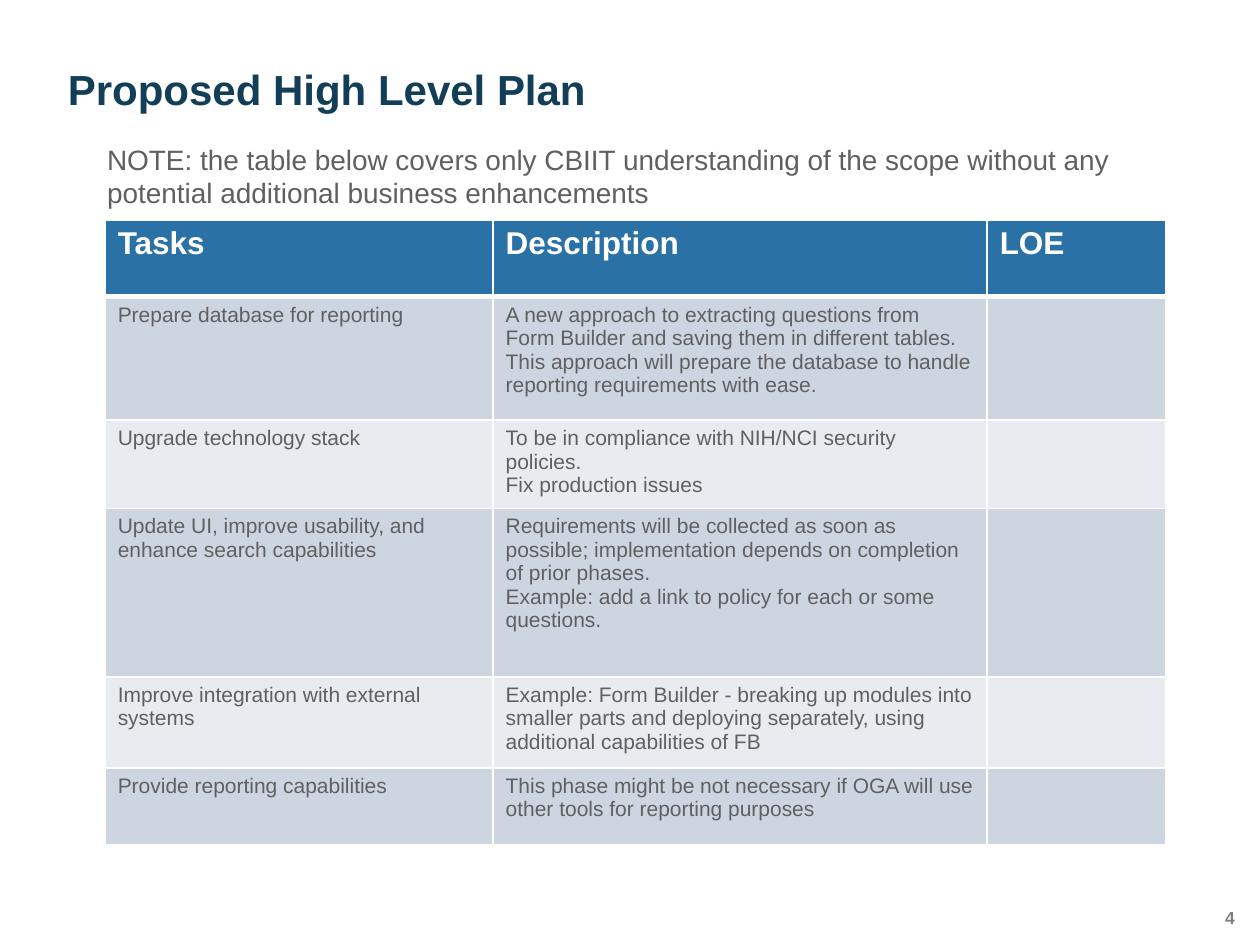
import lxml.etree
import pptx
import pptx.dml.color
import pptx.enum.text
import pptx.oxml.ns
import pptx.util

Cm = pptx.util.Cm
Pt = pptx.util.Pt
RGBColor = pptx.dml.color.RGBColor
qn = pptx.oxml.ns.qn

WHITE = RGBColor(0xFF, 0xFF, 0xFF)
NAVY = RGBColor(0x12, 0x3E, 0x57)
BLUE = RGBColor(0x2A, 0x71, 0xA5)
BAND_DARK = RGBColor(0xCD, 0xD5, 0xE1)
BAND_LIGHT = RGBColor(0xE8, 0xEB, 0xF0)
BODY_GREY = RGBColor(0x60, 0x60, 0x60)
NUMBER_GREY = RGBColor(0x7F, 0x7F, 0x7F)


def write(frame, text, size, color, bold=False):
    frame.text = text
    frame.word_wrap = True
    for paragraph in frame.paragraphs:
        for run in paragraph.runs:
            run.font.name = "Arial"
            run.font.size = Pt(size)
            run.font.bold = bold
            run.font.color.rgb = color


def add_borders(cell, widths):
    """Put white borders, given in points by side, ahead of the cell fill."""
    properties = cell._tc.get_or_add_tcPr()
    for position, (side, width) in enumerate(widths.items()):
        line = lxml.etree.Element(qn(f"a:ln{side}"), w=str(Pt(width)))
        fill = lxml.etree.SubElement(line, qn("a:solidFill"))
        lxml.etree.SubElement(fill, qn("a:srgbClr"), val=str(WHITE))
        properties.insert(position, line)


prs = pptx.Presentation()
prs.slide_width = Cm(25.4)
prs.slide_height = Cm(19.05)
slide = prs.slides.add_slide(prs.slide_layouts[6])

# Title and slide number, without inner margins
title = slide.shapes.add_textbox(Cm(1.37), Cm(1.14), Cm(22.68), Cm(1.17)).text_frame
write(title, "Proposed High Level Plan", 24, NAVY, True)
title.vertical_anchor = pptx.enum.text.MSO_ANCHOR.BOTTOM
title.paragraphs[0].line_spacing = 0.9

number = slide.shapes.add_textbox(Cm(24.03), Cm(18.29), Cm(0.86), Cm(0.51)).text_frame
write(number, "4", 10, NUMBER_GREY, True)
number.paragraphs[0].alignment = pptx.enum.text.PP_ALIGN.RIGHT

for frame in (title, number):
    frame.margin_left = frame.margin_right = frame.margin_top = frame.margin_bottom = 0

# Plan table
ROWS = [
    ("Tasks", "Description", "LOE"),
    ("Prepare database for reporting",
     "A new approach to extracting questions from Form Builder and saving them in "
     "different tables. This approach will prepare the database to handle reporting "
     "requirements with ease.", ""),
    ("Upgrade technology stack",
     "To be in compliance with NIH/NCI security policies.\nFix production issues", ""),
    ("Update UI, improve usability, and enhance search capabilities",
     "Requirements will be collected as soon as possible; implementation depends on "
     "completion of prior phases.\n"
     "Example: add a link to policy for each or some questions.", ""),
    ("Improve integration with external systems",
     "Example: Form Builder - breaking up modules into smaller parts and deploying "
     "separately, using additional capabilities of FB", ""),
    ("Provide reporting capabilities",
     "This phase might be not necessary if OGA will use other tools for reporting "
     "purposes", ""),
]
COLUMN_WIDTHS = [7.82, 9.96, 3.61]
ROW_HEIGHTS = [1.55, 2.49, 1.67, 3.4, 1.83, 1.55]

plan = slide.shapes.add_table(
    len(ROWS), len(COLUMN_WIDTHS), Cm(2.12), Cm(4.43),
    Cm(sum(COLUMN_WIDTHS)), Cm(sum(ROW_HEIGHTS))).table
for column, width in zip(plan.columns, COLUMN_WIDTHS):
    column.width = Cm(width)

for r, (texts, height) in enumerate(zip(ROWS, ROW_HEIGHTS)):
    plan.rows[r].height = Cm(height)
    header = r == 0
    band = BLUE if header else BAND_DARK if r % 2 else BAND_LIGHT
    for c, text in enumerate(texts):
        cell = plan.cell(r, c)
        if header:
            write(cell.text_frame, text, 18, WHITE, True)
        else:
            write(cell.text_frame, text, 12, BODY_GREY)
        cell.fill.solid()
        cell.fill.fore_color.rgb = band
        add_borders(cell, {"L": 1, "R": 1, "T": 3 if r == 1 else 1, "B": 3 if header else 1})

# Scope note above the table
note = slide.shapes.add_textbox(Cm(1.91), Cm(2.74), Cm(22.02), Cm(1.63)).text_frame
write(note, "NOTE: the table below covers only CBIIT understanding of the scope without "
      "any potential additional business enhancements", 16, BODY_GREY)

prs.save("out.pptx")
